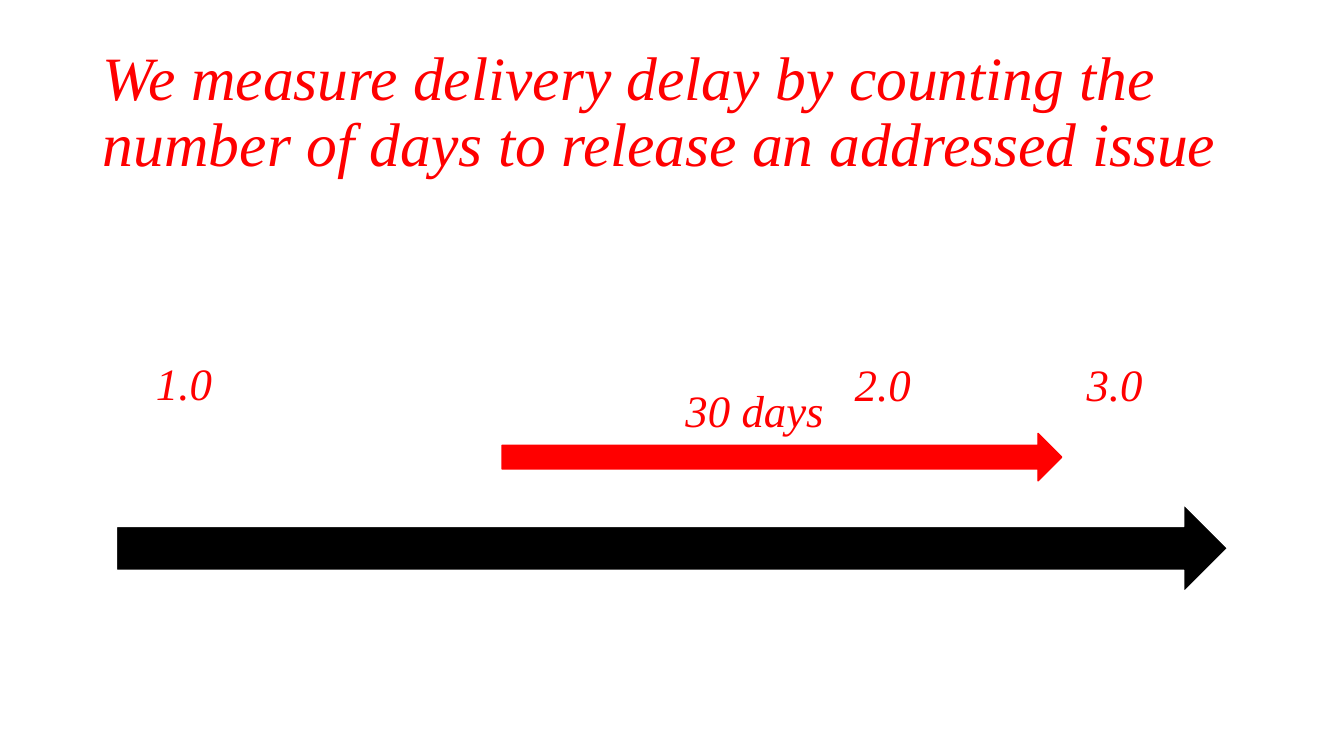
from pptx import Presentation
from pptx.dml.color import RGBColor
from pptx.enum.shapes import MSO_SHAPE
from pptx.enum.text import MSO_ANCHOR, MSO_AUTO_SIZE, PP_ALIGN
from pptx.util import Inches, Pt

LEFT, CENTER = PP_ALIGN.LEFT, PP_ALIGN.CENTER
UP_ARROW, RIGHT_ARROW = MSO_SHAPE.UP_ARROW, MSO_SHAPE.RIGHT_ARROW
MIDDLE = MSO_ANCHOR.MIDDLE
NO_FIT, GROW = MSO_AUTO_SIZE.NONE, MSO_AUTO_SIZE.SHAPE_TO_FIT_TEXT

COLORS = {"accent": "FF0000", "timeline": "000000", "paper": "FFFFFF"}
FONT = "Times New Roman"

HEADLINE = "We measure delivery delay by counting the number of days to release an addressed issue"
HEADLINE_BOX = (0.92, 0.4, 11.5, 1.45)
LABEL_SIZE = (3.07, 0.64)
LABELS = [
    ("3.0", 9.52, 3.49),
    ("30 days", 5.95, 3.75),
    ("1.0", 0.29, 3.48),
    ("2.0", 7.22, 3.49),
]
ARROWS = [
    (UP_ARROW, (6.23, -0.07, 0.87, 11.02), 90, "timeline", "paper"),
    (RIGHT_ARROW, (4.98, 4.3, 5.55, 0.47), 0, "accent", "accent"),
]


def color(name):
    return RGBColor.from_string(COLORS[name])


def write(frame, text, size, align, fit, spacing=None):
    frame.word_wrap = True
    frame.auto_size = fit
    paragraph = frame.paragraphs[0]
    paragraph.alignment = align
    paragraph.line_spacing = spacing
    run = paragraph.add_run()
    run.text = text
    run.font.name = FONT
    run.font.size = Pt(size)
    run.font.italic = True
    run.font.color.rgb = color("accent")


def main():
    deck = Presentation()
    deck.slide_width, deck.slide_height = Inches(13.33), Inches(7.5)
    slide = deck.slides.add_slide(deck.slide_layouts[5])

    headline = slide.shapes.title
    headline.left, headline.top, headline.width, headline.height = map(Inches, HEADLINE_BOX)
    headline.text_frame.vertical_anchor = MIDDLE
    write(headline.text_frame, HEADLINE, size=44, align=LEFT, fit=NO_FIT, spacing=0.9)

    for preset, box, rotation, fill, outline in ARROWS:
        arrow = slide.shapes.add_shape(preset, *map(Inches, box))
        arrow.rotation = rotation
        arrow.shadow.inherit = False
        arrow.fill.solid()
        arrow.fill.fore_color.rgb = color(fill)
        arrow.line.color.rgb = color(outline)
        arrow.line.width = Pt(1)

    for text, left, top in LABELS:
        label = slide.shapes.add_textbox(*map(Inches, (left, top, *LABEL_SIZE)))
        write(label.text_frame, text, size=32, align=CENTER, fit=GROW)

    deck.save("out.pptx")


if __name__ == "__main__":
    main()
